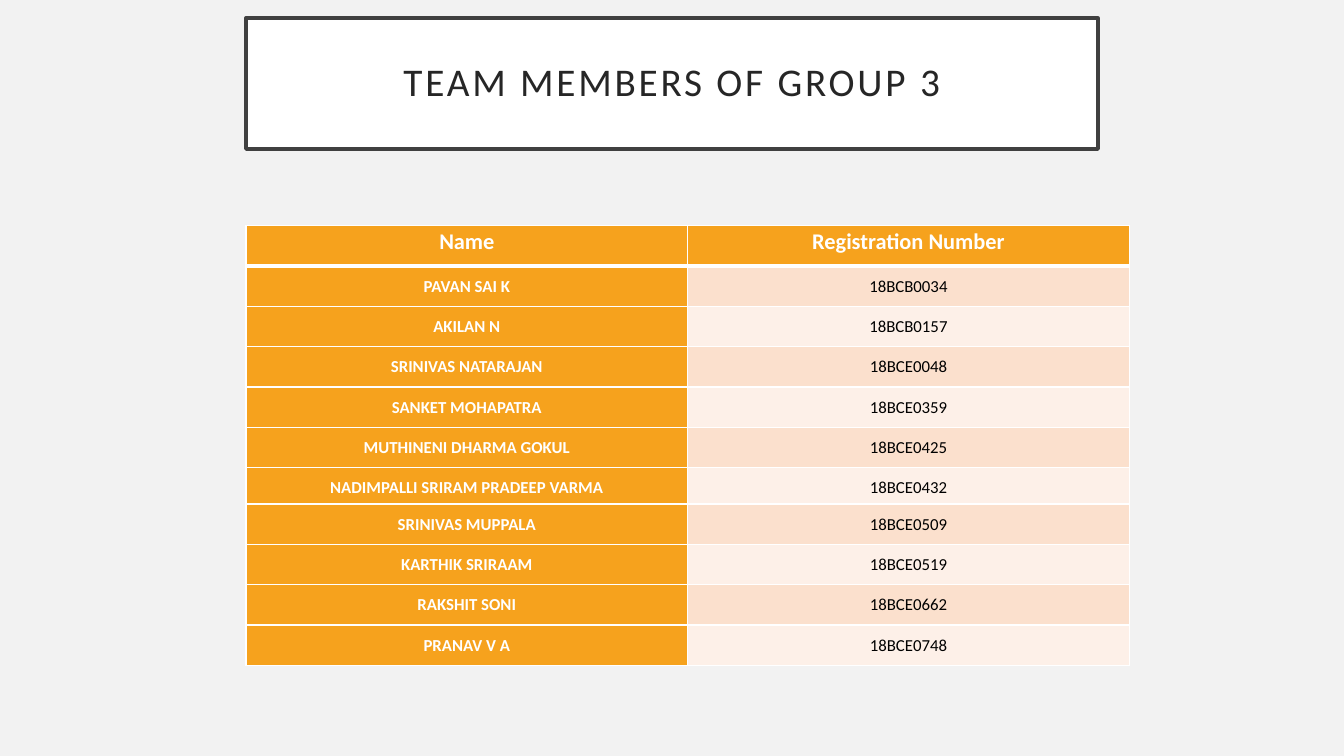
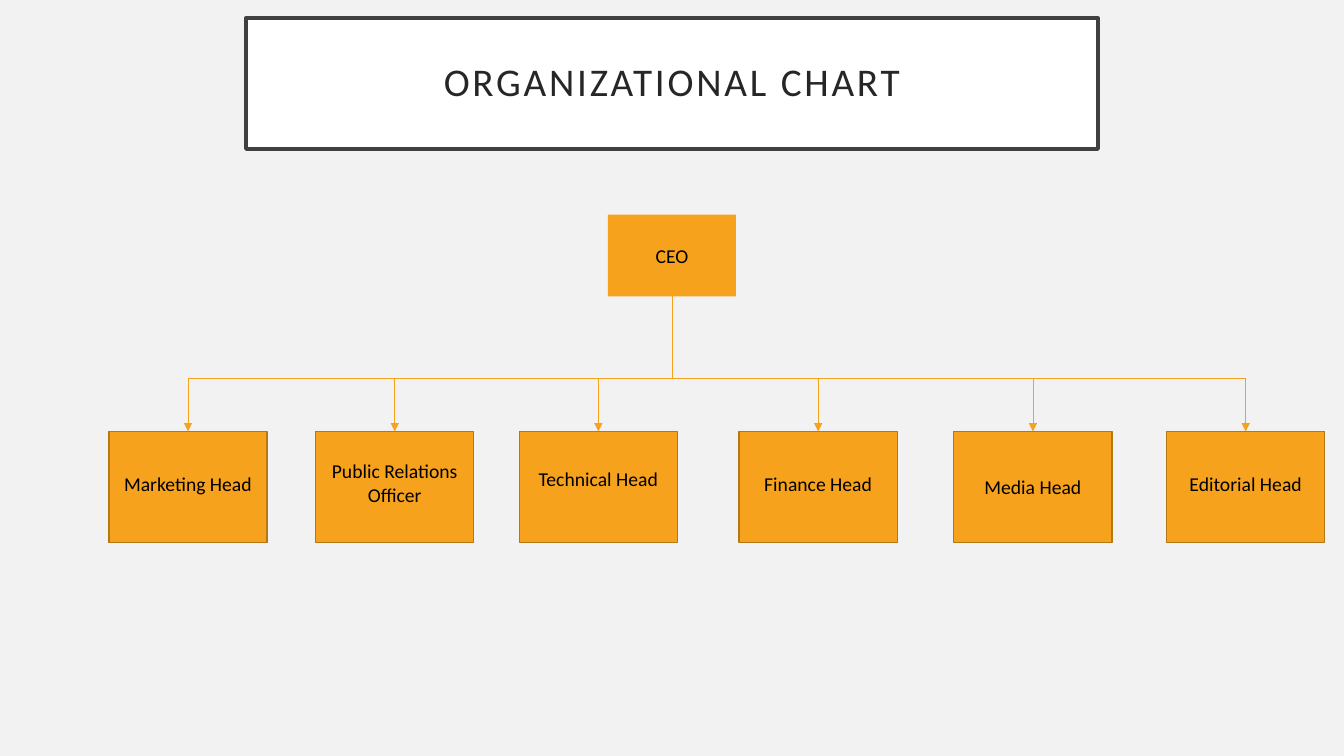
from lxml.etree import SubElement
from pptx import Presentation
from pptx.dml.color import RGBColor
from pptx.enum.shapes import MSO_CONNECTOR, MSO_SHAPE
from pptx.enum.text import MSO_ANCHOR, PP_ALIGN
from pptx.oxml import parse_xml
from pptx.oxml.ns import nsdecls, qn
from pptx.util import Inches, Pt

# Content
TEAM_TITLE = "TEAM MEMBERS OF GROUP 3"
TEAM_HEADER = ("Name", "Registration Number")
TEAM = [
    ("PAVAN SAI K", "18BCB0034"),
    ("AKILAN N", "18BCB0157"),
    ("SRINIVAS NATARAJAN", "18BCE0048"),
    ("SANKET MOHAPATRA", "18BCE0359"),
    ("MUTHINENI DHARMA GOKUL", "18BCE0425"),
    ("NADIMPALLI SRIRAM PRADEEP VARMA", "18BCE0432"),
    ("SRINIVAS MUPPALA", "18BCE0509"),
    ("KARTHIK SRIRAAM", "18BCE0519"),
    ("RAKSHIT SONI", "18BCE0662"),
    ("PRANAV V A", "18BCE0748"),
]
CHART_TITLE = "ORGANIZATIONAL CHART"
CHIEF = "CEO"
# Role, left edge of its box, lift of its label above the box's middle
HEADS = [
    ("Marketing Head", 1.08, 0.03),
    ("Public Relations Officer", 3.13, 0.04),
    ("Technical Head", 5.15, 0.08),
    ("Finance Head", 7.33, 0.03),
    ("Media Head", 9.46, 0),
    ("Editorial Head", 11.57, 0.03),
]

# Shared look
FONT = "Calibri"
COLORS = {
    "page": "F2F2F2", "white": "FFFFFF", "black": "000000",
    "title": "262626", "frame": "404040",
    "accent": "F6A21D", "edge": "B67815",
    "band_dark": "FBE0CD", "band_light": "FDF0E8",
}
PAGE_WIDTH, PAGE_HEIGHT = 13.33, 7.5
TITLE_AREA = (2.44, 0.18, 8.45, 1.3)
TABLE_LEFT, TABLE_TOP, COLUMN_WIDTH = 2.44, 2.24, 4.38
ROW_HEIGHT, TIGHT_ROW, TIGHT_HEIGHT = 0.4, 6, 0.36
CHIEF_TOP, CHIEF_WIDTH, CHIEF_HEIGHT = 2.13, 1.27, 0.81
HEAD_TOP, HEAD_WIDTH, HEAD_HEIGHT = 4.28, 1.57, 1.1
BUS_Y = PAGE_HEIGHT / 2


def color(name):
    return RGBColor.from_string(COLORS[name])


def write(frame, text, size=14, ink="black", bold=False, line_spacing=None,
          space_after=None, tracking=None):
    """Put one centred paragraph in a text frame."""
    frame.word_wrap = True
    para = frame.paragraphs[0]
    para.alignment = PP_ALIGN.CENTER
    if line_spacing:
        para.line_spacing = line_spacing
    if space_after:
        para.space_after = Pt(space_after)
    span = para.add_run()
    span.text = text
    span.font.name, span.font.size, span.font.bold = FONT, Pt(size), bold
    span.font.color.rgb = color(ink)
    if tracking:
        span.font._element.set("spc", str(tracking * 100))


def add_box(page, area, fill, edge=None, edge_width=1):
    box = page.shapes.add_shape(MSO_SHAPE.RECTANGLE, *map(Inches, area))
    box.shadow.inherit = False
    box.fill.solid()
    box.fill.fore_color.rgb = color(fill)
    if edge:
        box.line.color.rgb = color(edge)
        box.line.width = Pt(edge_width)
    else:
        box.line.fill.background()
    box.text_frame.vertical_anchor = MSO_ANCHOR.MIDDLE
    return box


def add_page(deck, title):
    page = deck.slides.add_slide(deck.slide_layouts[6])
    box = add_box(page, TITLE_AREA, "white", "frame", 2.5)
    frame = box.text_frame
    frame.margin_left = frame.margin_right = Inches(0.2)
    frame.margin_top = frame.margin_bottom = Inches(0.2)
    write(frame, title, size=28, ink="title", line_spacing=0.9, tracking=2)
    return page


def add_line(page, start, end, arrow=False):
    line = page.shapes.add_connector(
        MSO_CONNECTOR.STRAIGHT, *map(Inches, (*start, *end)))
    line.line.color.rgb = color("accent")
    line.line.width = Pt(0.5)
    if arrow:
        SubElement(line.line._get_or_add_ln(), qn("a:tailEnd"), type="triangle")
    SubElement(line._element.spPr, qn("a:effectLst"))
    return line


def set_borders(cell, **widths):
    """Draw white borders; L, R, T and B give widths in points."""
    properties = cell._tc.get_or_add_tcPr()
    for position, side in enumerate("LRTB"):
        border = parse_xml(
            f'<a:ln{side} {nsdecls("a")} w="{Pt(widths.get(side, 1))}">'
            f'<a:solidFill><a:srgbClr val="{COLORS["white"]}"/></a:solidFill>'
            f'</a:ln{side}>')
        properties.insert(position, border)


def add_team_table(page):
    rows = [TEAM_HEADER, *TEAM]
    table = page.shapes.add_table(
        len(rows), 2, Inches(TABLE_LEFT), Inches(TABLE_TOP),
        Inches(2 * COLUMN_WIDTH), Inches(ROW_HEIGHT * len(rows))).table
    for column in table.columns:
        column.width = Inches(COLUMN_WIDTH)
    for r, row in enumerate(rows):
        table.rows[r].height = Inches(TIGHT_HEIGHT if r == TIGHT_ROW else ROW_HEIGHT)
        for c, text in enumerate(row):
            cell = table.cell(r, c)
            strong = r == 0 or c == 0
            band = "band_dark" if r % 2 else "band_light"
            cell.fill.solid()
            cell.fill.fore_color.rgb = color("accent" if strong else band)
            cell.margin_left = cell.margin_right = Inches(0.07)
            cell.margin_top = cell.margin_bottom = 0
            write(cell.text_frame, text, size=12 if r else 16,
                  ink="white" if strong else "black", bold=strong,
                  line_spacing=1.5 if r else 1.07, space_after=8)
            # The rule below the header is heavier
            set_borders(cell, T=3 if r == 1 else 1, B=1 if r else 3)


def add_org_chart(page):
    middle = PAGE_WIDTH / 2
    chief = add_box(page, (middle - CHIEF_WIDTH / 2, CHIEF_TOP,
                           CHIEF_WIDTH, CHIEF_HEIGHT), "accent")
    write(chief.text_frame, CHIEF)
    trunk = add_line(page, (middle, CHIEF_TOP + CHIEF_HEIGHT), (middle, BUS_Y))
    trunk.begin_connect(chief, 2)

    centers = [left + HEAD_WIDTH / 2 for _, left, _ in HEADS]
    add_line(page, (centers[0], BUS_Y), (centers[-1], BUS_Y))
    for (role, left, lift), center in zip(HEADS, centers):
        box = add_box(page, (left, HEAD_TOP, HEAD_WIDTH, HEAD_HEIGHT),
                      "accent", "edge")
        box.text_frame.margin_bottom = Inches(0.05 + 2 * lift)
        write(box.text_frame, role)
        branch = add_line(page, (center, BUS_Y), (center, HEAD_TOP), arrow=True)
        branch.end_connect(box, 0)


def main():
    deck = Presentation()
    deck.slide_width, deck.slide_height = Inches(PAGE_WIDTH), Inches(PAGE_HEIGHT)
    backdrop = deck.slide_master.background.fill
    backdrop.solid()
    backdrop.fore_color.rgb = color("page")
    add_team_table(add_page(deck, TEAM_TITLE))
    add_org_chart(add_page(deck, CHART_TITLE))
    deck.save("out.pptx")


if __name__ == "__main__":
    main()
